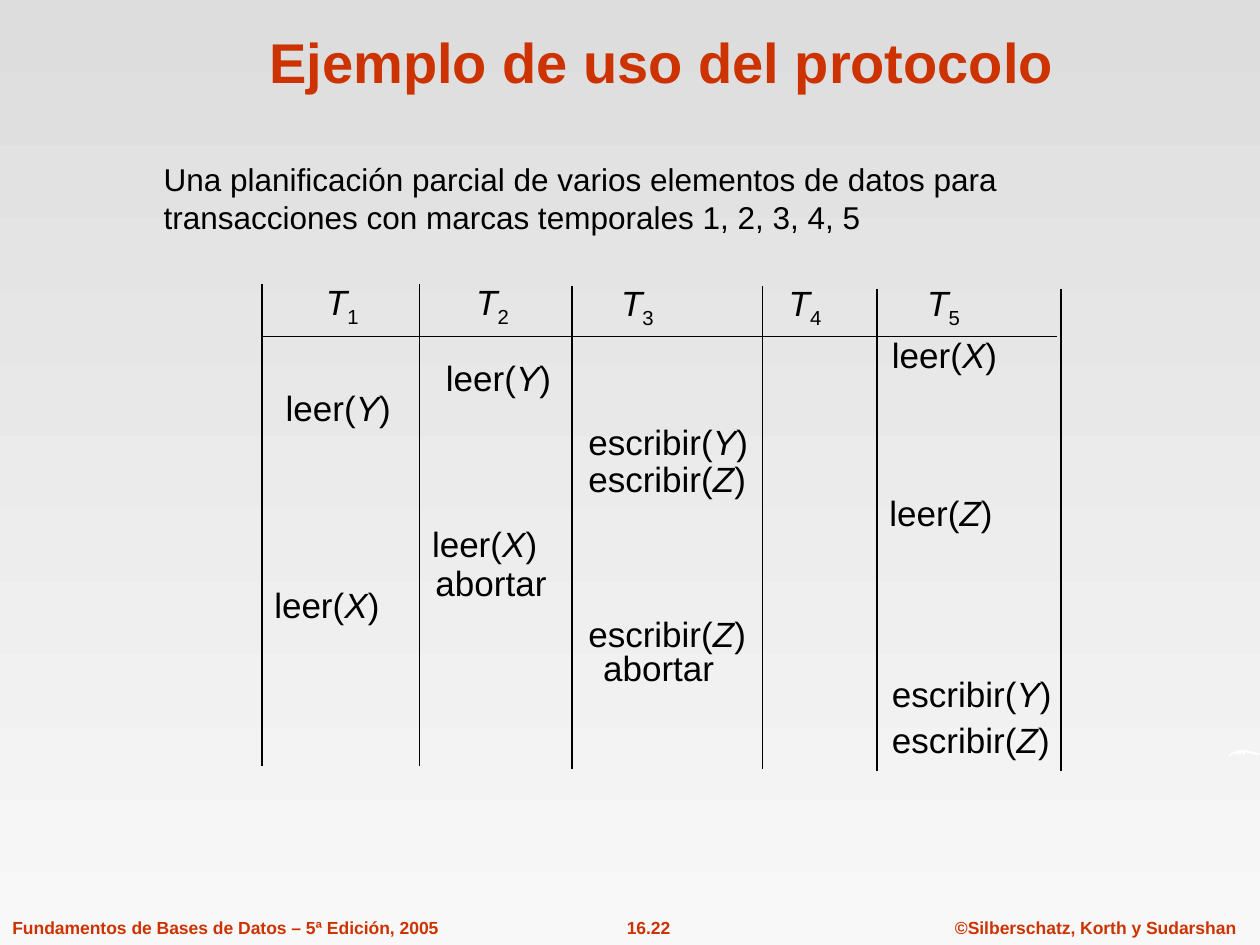
import pptx
import pptx.util
import pptx.dml.color
import pptx.enum.text
import pptx.enum.shapes
import pptx.oxml

Cm, Pt = pptx.util.Cm, pptx.util.Pt
ALIGN = pptx.enum.text.PP_ALIGN
FONT = "Arial"
COLORS = {"accent": "CC3300", "ink": "000000", "white": "FFFFFF",
          "bg_top": "DDDDDD", "bg_bottom": "F8F8F8"}

TITLE = "Ejemplo de uso del protocolo"
INTRO = ("Una planificación parcial de varios elementos de datos para "
         "transacciones con marcas temporales 1, 2, 3, 4, 5")

# text, left, width, alignment
FOOTERS = [
    ("Fundamentos de Bases de Datos – 5ª Edición, 2005", 0, 9.09, ALIGN.LEFT),
    ("16.22", 11.73, 2.69, ALIGN.CENTER),
    ("©Silberschatz, Korth y Sudarshan", 19, 6.17, ALIGN.CENTER),
]

# x, top of each column rule
RULES = [(5.28, 5.72), (8.46, 5.72), (11.53, 5.77),
         (15.37, 5.77), (17.68, 5.82), (21.39, 5.82)]
RULE_LENGTH = 9.73
HEADER_RULE = (5.28, 6.78, 21.31, 6.78)

# left, top of the headings T1 to T5
HEADINGS = [(6.32, 5.54), (9.35, 5.54), (12.27, 5.56), (15.65, 5.56), (18.44, 5.56)]

# operation, data item, left, top, in order of time
STEPS = [
    ("leer", "X", 17.73, 6.6),
    ("leer", "Y", 8.74, 7.06),
    ("leer", "Y", 5.51, 7.67),
    ("escribir", "Y", 11.61, 8.36),
    ("escribir", "Z", 11.61, 9.09),
    ("leer", "Z", 17.68, 9.78),
    ("leer", "X", 8.46, 10.41),
    ("abortar", "", 8.53, 11.2),
    ("leer", "X", 5.28, 11.63),
    ("escribir", "Z", 11.61, 12.22),
    ("abortar", "", 11.91, 12.9),
    ("escribir", "Y", 17.73, 13.44),
    ("escribir", "Z", 17.73, 14.35),
]
STEP_WIDTHS = {"leer": 2.8, "escribir": 3.95, "abortar": 3.05}

SWOOSH = [(24.76, 15.27), (24.79, 15.19), (24.87, 15.16), (24.94, 15.13),
          (25.02, 15.12), (25.1, 15.12), (25.2, 15.14), (25.3, 15.17),
          (25.4, 15.19), (25.37, 15.22), (25.3, 15.21), (25.2, 15.19),
          (25.1, 15.17), (25.1, 15.24), (25.02, 15.17), (25.02, 15.24),
          (24.94, 15.17), (24.97, 15.24), (24.89, 15.19), (24.82, 15.22)]


def rgb(name):
    return pptx.dml.color.RGBColor.from_string(COLORS[name])


def format_run(r, size, color, bold=False, italic=False):
    r.font.name = FONT
    r.font.size = Pt(size)
    r.font.bold = bold
    r.font.italic = italic
    r.font.color.rgb = rgb(color)


def add_text(slide, parts, left, top, width, height, size, color="ink",
             bold=False, align=ALIGN.LEFT, wrap=True):
    """Add a one-paragraph text box; parts are (text, italic) pairs."""
    s = slide.shapes.add_textbox(Cm(left), Cm(top), Cm(width), Cm(height))
    s.text_frame.word_wrap = wrap
    p = s.text_frame.paragraphs[0]
    p.alignment = align
    for text, italic in parts:
        r = p.add_run()
        r.text = text
        format_run(r, size, color, bold, italic)
    return p


def add_line(slide, x1, y1, x2, y2):
    s = slide.shapes.add_connector(pptx.enum.shapes.MSO_CONNECTOR.STRAIGHT,
                                   Cm(x1), Cm(y1), Cm(x2), Cm(y2))
    s.line.color.rgb = rgb("ink")
    s.line.width = Pt(0.75)
    pptx.oxml.ns  # namespace helpers
    s._element.spPr.append(pptx.oxml.parse_xml(
        '<a:effectLst xmlns:a="http://schemas.openxmlformats.org/drawingml/2006/main"/>'))


def add_title(slide):
    s = slide.shapes.title
    s.left, s.top, s.width, s.height = Cm(2.13), Cm(0.33), Cm(22.43), Cm(1.7)
    tf = s.text_frame
    tf.text = TITLE
    tf.vertical_anchor = pptx.enum.text.MSO_ANCHOR.BOTTOM
    p = tf.paragraphs[0]
    p.alignment = ALIGN.CENTER
    format_run(p.runs[0], 32, "accent", bold=True)


def add_swoosh(slide):
    points = [(Cm(x), Cm(y)) for x, y in SWOOSH]
    builder = slide.shapes.build_freeform(*points[0])
    builder.add_line_segments(points[1:], close=True)
    s = builder.convert_to_shape()
    s.shadow.inherit = False
    s.fill.solid()
    s.fill.fore_color.rgb = rgb("white")
    s.line.fill.background()


def add_schedule(slide):
    for x, top in RULES:
        add_line(slide, x, top, x, top + RULE_LENGTH)
    add_line(slide, *HEADER_RULE)
    for number, (left, top) in enumerate(HEADINGS, 1):
        p = add_text(slide, [("T", True), (str(number), False)],
                     left, top, 1.17, 1.22, 20)
        p.runs[1].font._element.set("baseline", "-25000")
    for operation, item, left, top in STEPS:
        parts = [(operation, False)]
        if item:
            parts = [(operation + "(", False), (item, True), (")", False)]
        add_text(slide, parts, left, top, STEP_WIDTHS[operation], 1.12, 20)


def main():
    prs = pptx.Presentation()
    prs.slide_width, prs.slide_height = Cm(25.4), Cm(19.05)
    slide = prs.slides.add_slide(prs.slide_layouts[5])
    fill = slide.background.fill
    fill.gradient()
    fill.gradient_angle = 270
    for stop, name in zip(fill.gradient_stops, ("bg_top", "bg_bottom")):
        stop.color.rgb = rgb(name)

    add_swoosh(slide)
    for text, left, width, align in FOOTERS:
        add_text(slide, [(text, False)], left, 18.36, width, 0.69, 10,
                 "accent", bold=True, align=align, wrap=False)
    add_title(slide)
    add_text(slide, [(INTRO, False)], 3.05, 3.1, 20.3, 1.85, 18)
    add_schedule(slide)
    prs.save("out.pptx")


if __name__ == "__main__":
    main()
